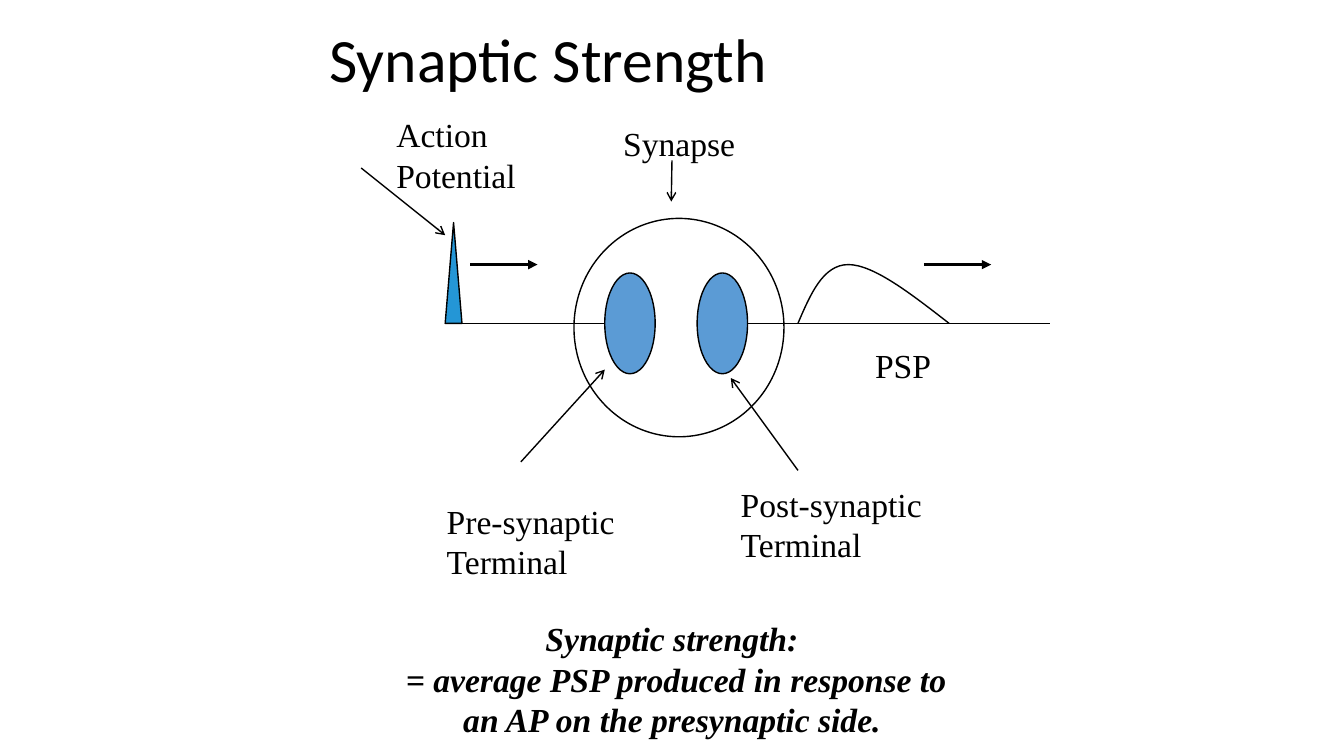
from collections import namedtuple

from lxml.etree import SubElement
from pptx import Presentation
from pptx.dml.color import RGBColor
from pptx.enum.shapes import MSO_CONNECTOR as Connector, MSO_SHAPE as Shape
from pptx.enum.text import MSO_ANCHOR as Anchor, MSO_AUTO_SIZE as AutoSize, PP_ALIGN as Align
from pptx.oxml.ns import qn
from pptx.util import Pt

COLORS = {"ink": "000000", "terminal": "5B9BD5", "spike": "2496D6"}
Box = namedtuple("Box", "left top width height")


def color(name):
    return RGBColor.from_string(COLORS[name])


def inside(box, left, top, width, height):
    """Turn a place relative to box into a place on the page."""
    return Box(box.left + left, box.top + top, width, height)


def write(para, text, font, size, bold=False):
    run = para.add_run()
    run.text = text
    run.font.name = font
    run.font.size = Pt(size)
    run.font.bold = run.font.italic = bold
    run.font.color.rgb = color("ink")


def add_text(page, box, lines, wrap=False, align=Align.LEFT, bold=False):
    frame = page.shapes.add_textbox(*map(Pt, box)).text_frame
    frame.word_wrap = wrap
    frame.auto_size = AutoSize.SHAPE_TO_FIT_TEXT
    for index, line in enumerate(lines):
        para = frame.paragraphs[0] if index == 0 else frame.add_paragraph()
        para.alignment = align
        write(para, line, "Times New Roman", 24, bold)


def style(shape, fill=None):
    shape.shadow.inherit = False
    if fill:
        shape.fill.solid()
        shape.fill.fore_color.rgb = color(fill)
    else:
        shape.fill.background()
    shape.line.color.rgb = color("ink")
    shape.line.width = Pt(1)


def add_shape(page, kind, box, fill=None):
    style(page.shapes.add_shape(kind, *map(Pt, box)), fill)


def add_line(page, box, start, end, width=1, head=None):
    """Draw a line between two points relative to box."""
    points = [Pt(origin + offset) for point in (start, end)
              for origin, offset in zip(box[:2], point)]
    line = page.shapes.add_connector(Connector.STRAIGHT, *points)
    line.line.color.rgb = color("ink")
    line.line.width = Pt(width)
    if head:
        SubElement(line.line._get_or_add_ln(), qn("a:tailEnd"), type=head)
    SubElement(line._element.spPr, qn("a:effectLst"))


def add_curve(page, box, points):
    """Draw Bezier segments: a start point, then three points per segment."""
    placed = [(Pt(box.left + x), Pt(box.top + y)) for x, y in points]
    builder = page.shapes.build_freeform(*placed[0])
    builder.add_line_segments(placed[1:], close=False)
    curve = builder.convert_to_shape()
    style(curve)
    outline = next(curve._element.iter(qn("a:path")))
    corners = outline.findall(qn("a:lnTo"))
    for first in range(0, len(corners), 3):
        bend = SubElement(outline, qn("a:cubicBezTo"))
        for corner in corners[first:first + 3]:
            bend.append(corner[0])
            outline.remove(corner)


def add_title(page, box):
    title = page.shapes.title
    title.left, title.top, title.width, title.height = map(Pt, box)
    frame = title.text_frame
    frame.vertical_anchor = Anchor.MIDDLE
    frame.auto_size = AutoSize.NONE
    para = frame.paragraphs[0]
    para.alignment = Align.LEFT
    para.line_spacing = 0.9
    write(para, "Synaptic Strength", "Calibri", 44)


def add_synapse(page, box):
    """Draw axons, terminals, signals and their labels."""
    baseline, signal_height = 153, 111
    terminal_width, terminal_height = 36, 72
    pre, post = 174, 240

    add_line(page, box, (60, baseline), (pre, baseline))
    for left in (pre, post):
        add_shape(page, Shape.OVAL,
                  inside(box, left, baseline - terminal_height / 2, terminal_width, terminal_height),
                  "terminal")
    add_line(page, box, (post + terminal_width, baseline), (box.width, baseline))

    add_shape(page, Shape.ISOSCELES_TRIANGLE, inside(box, 60, baseline - 72, 12, 72), "spike")
    add_curve(page, box, [(312, baseline), (321, 132), (330, signal_height),
                          (348, signal_height), (366, signal_height),
                          (393, 132), (420, baseline)])
    for left in (78, 402):
        add_line(page, box, (left, signal_height), (left + 48, signal_height), 2.25, "triangle")

    add_shape(page, Shape.OVAL, inside(box, 152, 78, 150, 156))

    pointers = [((0, 42), (60, 90)), ((222, 36.5), (221.5, 66)),
                ((114, 252), (174, 186)), ((312, 258), (264, 192))]
    for start, end in pointers:
        add_line(page, box, start, end, head="arrow")

    labels = [((360, 165, 55, 36), ["PSP"]),
              ((18, 0, 101, 66), ["Action", "Potential"]),
              ((180, 6, 95, 36), ["Synapse"]),
              ((54, 276, 135, 66), ["Pre-synaptic", "Terminal"]),
              ((264, 264, 145, 66), ["Post-synaptic", "Terminal"])]
    for place, lines in labels:
        add_text(page, inside(box, *place), lines)


def add_definition(page, box):
    add_text(page, box,
             ["Synaptic strength:",
              " = average PSP produced in response to",
              "an AP on the presynaptic side."],
             wrap=True, align=Align.CENTER, bold=True)


def main():
    deck = Presentation()
    deck.slide_width, deck.slide_height = Pt(960), Pt(540)
    page = deck.slides.add_slide(deck.slide_layouts[5])
    add_title(page, Box(228, 0, 594, 90))
    add_synapse(page, Box(258, 78, 492, 342))
    add_definition(page, Box(120, 438, 720, 94))
    deck.save("out.pptx")


if __name__ == "__main__":
    main()
